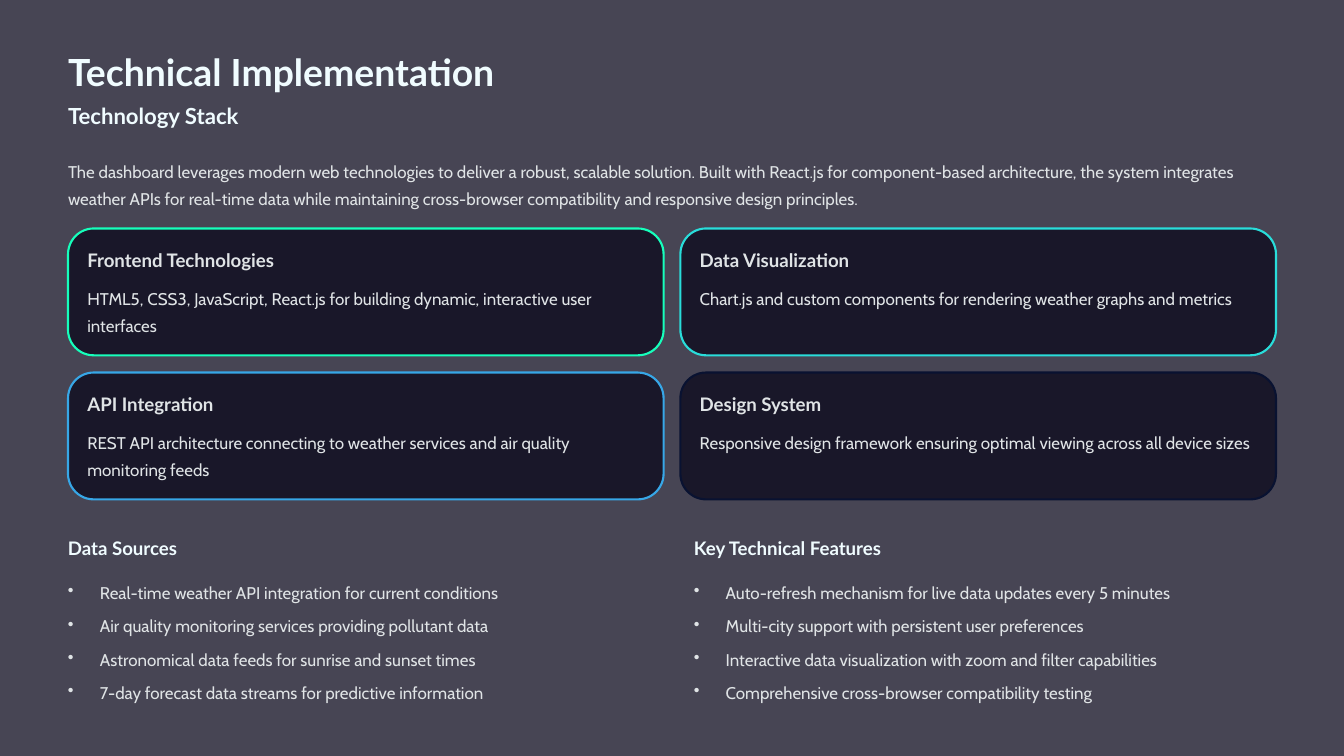
"""Build the Technical Implementation slide."""
from lxml import etree
from pptx import Presentation
from pptx.dml.color import RGBColor
from pptx.enum.shapes import MSO_SHAPE
from pptx.enum.text import MSO_ANCHOR, PP_ALIGN
from pptx.oxml.ns import qn
from pptx.util import Inches, Pt

RECTANGLE, ROUNDED = MSO_SHAPE.RECTANGLE, MSO_SHAPE.ROUNDED_RECTANGLE
TOP, LEFT = MSO_ANCHOR.TOP, PP_ALIGN.LEFT

TITLE = "Technical Implementation"
SUBTITLE = "Technology Stack"
INTRO = (
    "The dashboard leverages modern web technologies to deliver a robust, scalable solution. "
    "Built with React.js for component-based architecture, the system integrates weather APIs "
    "for real-time data while maintaining cross-browser compatibility and responsive design principles."
)
CARDS = [
    ("Frontend Technologies", "16FFBB",
     "HTML5, CSS3, JavaScript, React.js for building dynamic, interactive user interfaces"),
    ("Data Visualization", "29DDDA",
     "Chart.js and custom components for rendering weather graphs and metrics"),
    ("API Integration", "37A7E7",
     "REST API architecture connecting to weather services and air quality monitoring feeds"),
    ("Design System", "091231",
     "Responsive design framework ensuring optimal viewing across all device sizes"),
]
LISTS = [
    ("Data Sources", [
        "Real-time weather API integration for current conditions",
        "Air quality monitoring services providing pollutant data",
        "Astronomical data feeds for sunrise and sunset times",
        "7-day forecast data streams for predictive information",
    ]),
    ("Key Technical Features", [
        "Auto-refresh mechanism for live data updates every 5 minutes",
        "Multi-city support with persistent user preferences",
        "Interactive data visualization with zoom and filter capabilities",
        "Comprehensive cross-browser compatibility testing",
    ]),
]

DARK, BRIGHT, SOFT = "0A081B", "F0FCFF", "E0E4E6"
MARGIN, WIDTH = 0.81, 14.38
CARD_WIDTH, CARD_HEIGHT, CARD_TOP = 7.09, 1.51, 2.72
CARD_STEP_X, CARD_STEP_Y, CARD_PADDING = 7.29, 1.715, 0.23
LIST_TOP, LIST_WIDTH, LIST_STEP = 6.38, 6.94, 7.45
BULLET_INDENT = Inches(0.38)
HEADING = {"size": 16, "spacing": 20, "font": "Lato", "bold": True}


def color(value):
    return RGBColor.from_string(value)


def add_panel(slide, kind, left, top, width, height, line=None):
    shape = slide.shapes.add_shape(kind, Inches(left), Inches(top), Inches(width), Inches(height))
    shape.shadow.inherit = False
    shape.fill.solid()
    shape.fill.fore_color.rgb = color(DARK)
    fill_color = shape.fill._xPr.find(qn("a:solidFill"))[0]
    etree.SubElement(fill_color, qn("a:alpha"), val="75000")
    if line:
        shape.line.color.rgb = color(line)
        shape.line.width = Pt(1.8)
        shape.adjustments[0] = 0.202
    else:
        shape.line.fill.background()


def add_bullet(paragraph):
    properties = paragraph._p.get_or_add_pPr()
    properties.set("marL", str(BULLET_INDENT))
    properties.set("indent", str(-BULLET_INDENT))
    etree.SubElement(properties, qn("a:buChar"), char="•")


def add_text(slide, lines, left, top, width, height, *, size=14.5, spacing=23,
             font="Cabin", ink=SOFT, bold=False, bullets=False, gap=0):
    box = slide.shapes.add_textbox(Inches(left), Inches(top), Inches(width), Inches(height))
    frame = box.text_frame
    frame.word_wrap = True
    frame.vertical_anchor = TOP
    frame.margin_left = frame.margin_right = frame.margin_top = frame.margin_bottom = 0
    for index, line in enumerate(lines):
        paragraph = frame.add_paragraph() if index else frame.paragraphs[0]
        if bullets:
            add_bullet(paragraph)
        paragraph.alignment = LEFT
        paragraph.line_spacing = Pt(spacing)
        if index:
            paragraph.space_before = Pt(gap)
        run = paragraph.add_run()
        run.text = line
        run.font.size, run.font.name, run.font.bold = Pt(size), font, bold
        run.font.color.rgb = color(ink)


def add_card(slide, index, title, outline, body):
    row, column = divmod(index, 2)
    left = MARGIN + column * CARD_STEP_X
    top = CARD_TOP + row * CARD_STEP_Y
    inner_left, inner_width = left + CARD_PADDING, CARD_WIDTH - 2 * CARD_PADDING
    add_panel(slide, ROUNDED, left, top, CARD_WIDTH, CARD_HEIGHT, outline)
    add_text(slide, [title], inner_left, top + CARD_PADDING, inner_width, 0.28, **HEADING)
    add_text(slide, [body], inner_left, top + 0.64, inner_width, 0.65)


def main():
    presentation = Presentation()
    presentation.slide_width, presentation.slide_height = Inches(16), Inches(9)
    slide = presentation.slides.add_slide(presentation.slide_layouts[6])
    add_panel(slide, RECTANGLE, 0, 0, 16, 9)
    add_text(slide, [TITLE], MARGIN, 0.56, 5.51, 0.56,
             size=32, spacing=40.5, font="Lato", ink=BRIGHT, bold=True)
    add_text(slide, [SUBTITLE], MARGIN, 1.2, 2.71, 0.34,
             size=19, spacing=24, font="Lato", ink=BRIGHT, bold=True)
    add_text(slide, [INTRO], MARGIN, 1.85, WIDTH, 0.65)
    for index, card in enumerate(CARDS):
        add_card(slide, index, *card)
    for column, (title, items) in enumerate(LISTS):
        left = MARGIN + column * LIST_STEP
        add_text(slide, [title], left, LIST_TOP, LIST_WIDTH, 0.28, ink=BRIGHT, **HEADING)
        add_text(slide, items, left, LIST_TOP + 0.48, LIST_WIDTH, 1.51, bullets=True, gap=5.55)
    presentation.save("out.pptx")


if __name__ == "__main__":
    main()
